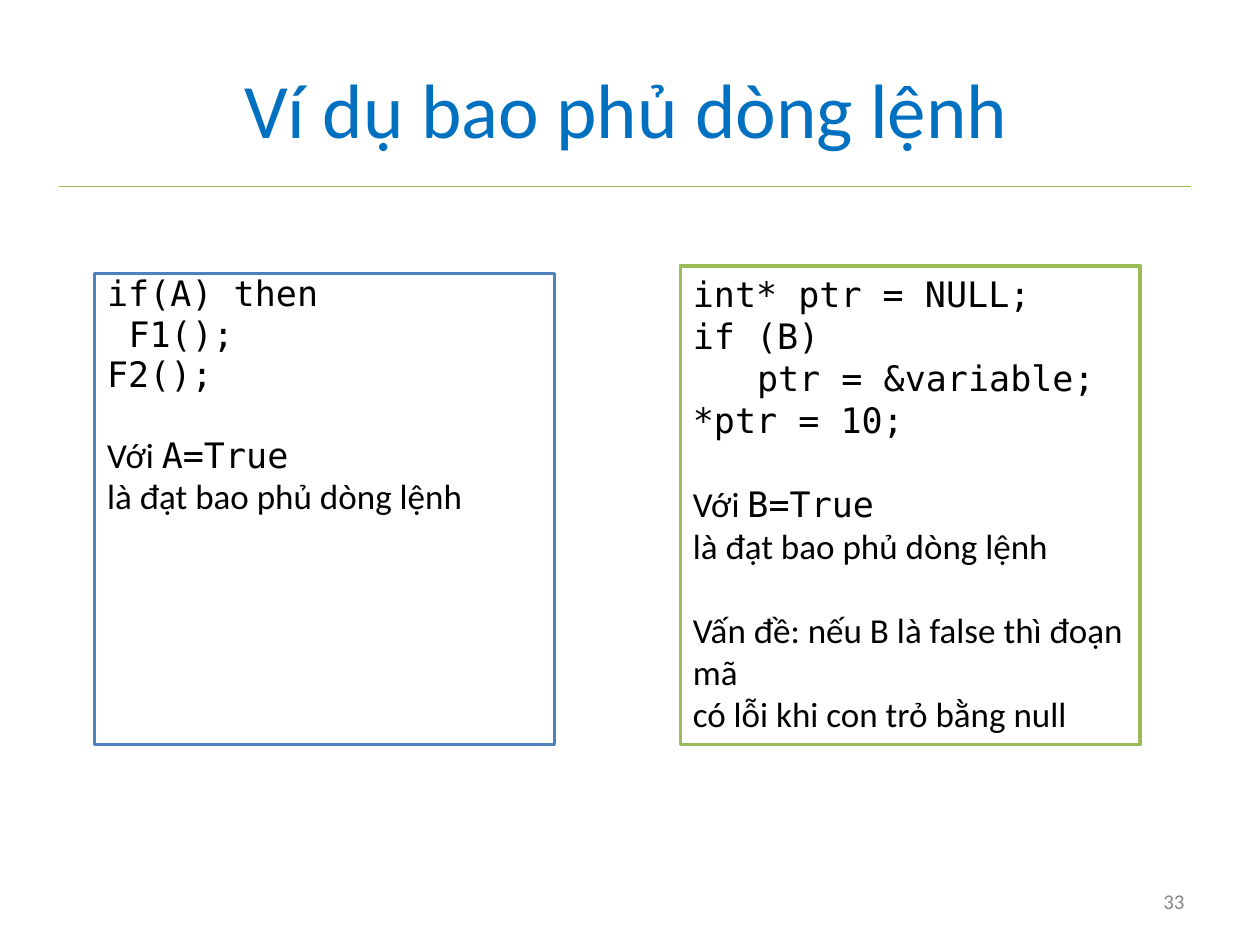
from pptx import Presentation
from pptx.dml.color import RGBColor
from pptx.enum.shapes import MSO_CONNECTOR as Connector, MSO_SHAPE as Shape
from pptx.enum.text import MSO_ANCHOR as Anchor, MSO_AUTO_SIZE as AutoSize, PP_ALIGN as Align
from pptx.oxml.ns import qn
from pptx.util import Inches, Pt

TEXT_FONT = "Calibri"
CODE_FONT = "DejaVu Sans Mono"
CODE_STEP = 0.17

# Each line: (text, font) runs, indent in code characters, extra space before in points.
LEFT_LINES = [
    ([("if(A) then", CODE_FONT)], 0, 0),
    ([("F1();", CODE_FONT)], 1, 4),
    ([("F2();", CODE_FONT)], 0, 4),
    ([("Với ", TEXT_FONT), ("A=True", CODE_FONT)], 0, 27),
    ([("là đạt bao phủ dòng lệnh", TEXT_FONT)], 0, 4),
]
RIGHT_LINES = [
    ([("int* ptr = NULL;", CODE_FONT)], 0, 0),
    ([("if (B)", CODE_FONT)], 0, 0),
    ([("ptr = &variable;", CODE_FONT)], 3, 0),
    ([("*ptr = 10;", CODE_FONT)], 0, 0),
    ([("Với ", TEXT_FONT), ("B=True", CODE_FONT)], 0, 24),
    ([("là đạt bao phủ dòng lệnh", TEXT_FONT)], 0, 0),
    ([("Vấn đề: nếu B là false thì đoạn mã", TEXT_FONT)], 0, 24),
    ([("có lỗi khi con trỏ bằng null", TEXT_FONT)], 0, 0),
]


def rgb(color):
    """Turn a hex string into a colour."""
    return RGBColor.from_string(color)


def place(shape, box):
    """Move a shape to a box of left, top, width and height in inches."""
    shape.left, shape.top, shape.width, shape.height = map(Inches, box)


def format_run(run, font, size, color):
    """Set the font, size and colour of a run."""
    run.font.name = font
    run.font.size = Pt(size)
    run.font.color.rgb = rgb(color)


def write_line(shape, text, align, size, color):
    """Write one vertically centred line of text in a shape."""
    frame = shape.text_frame
    frame.word_wrap = True
    frame.auto_size = AutoSize.NONE
    frame.vertical_anchor = Anchor.MIDDLE
    frame.text = text
    paragraph = frame.paragraphs[0]
    paragraph.alignment = align
    format_run(paragraph.runs[0], TEXT_FONT, size, color)


def add_heading(slide, box):
    """Place the title and the rule beneath it."""
    left, top, width, height = box
    bottom = Inches(top + height)
    rule = slide.shapes.add_connector(
        Connector.STRAIGHT, Inches(left), bottom, Inches(left + width - 0.02), bottom)
    rule.line.color.rgb = rgb("9BBB59")
    rule.line.width = Pt(0.75)
    rule._element.spPr.get_or_add_effectLst() if hasattr(
        rule._element.spPr, "get_or_add_effectLst") else rule._element.spPr.append(
        rule._element.makeelement(qn("a:effectLst"), {}))
    title = slide.shapes.title
    place(title, box)
    write_line(title, "Ví dụ bao phủ dòng lệnh", Align.CENTER, 44, "0070C0")


def fill_code_box(shape, box, line_color, lines, line_spacing):
    """Outline a box and fill it with code and remarks."""
    place(shape, box)
    shape.fill.solid()
    shape.fill.fore_color.rgb = rgb("FFFFFF")
    shape.line.color.rgb = rgb(line_color)
    shape.line.width = Pt(2)
    frame = shape.text_frame
    frame.word_wrap = True
    frame.auto_size = AutoSize.NONE
    frame.vertical_anchor = Anchor.TOP
    for index, (runs, indent, space_before) in enumerate(lines):
        paragraph = frame.add_paragraph() if index else frame.paragraphs[0]
        paragraph.alignment = Align.LEFT
        paragraph.line_spacing = line_spacing
        paragraph.space_before = Pt(space_before)
        properties = paragraph._p.get_or_add_pPr()
        properties.set("marL", str(Inches(indent * CODE_STEP)))
        properties.set("indent", "0")
        properties.append(properties.makeelement(qn("a:buNone"), {}))
        for text, font in runs:
            run = paragraph.add_run()
            run.text = text
            format_run(run, font, 20, "000000")


def add_slide_number(slide, box):
    """Place the slide number."""
    number = slide.shapes.add_textbox(*map(Inches, box))
    write_line(number, "33", Align.RIGHT, 12, "888888")


def main():
    """Build and save the slide."""
    presentation = Presentation()
    presentation.slide_width, presentation.slide_height = Inches(10), Inches(7.5)
    slide = presentation.slides.add_slide(presentation.slide_layouts[1])
    add_heading(slide, (0.47, 0.23, 9, 1.25))
    fill_code_box(slide.placeholders[1], (0.75, 2.17, 3.65, 3.74), "4F81BD", LEFT_LINES, 0.8)
    example = slide.shapes.add_shape(Shape.RECTANGLE, 0, 0, 0, 0)
    example.shadow.inherit = False
    fill_code_box(example, (5.4, 2.11, 3.65, 3.8), "9BBB59", RIGHT_LINES, 1.0)
    add_slide_number(slide, (7.17, 6.95, 2.33, 0.4))
    presentation.save("out.pptx")


if __name__ == "__main__":
    main()
